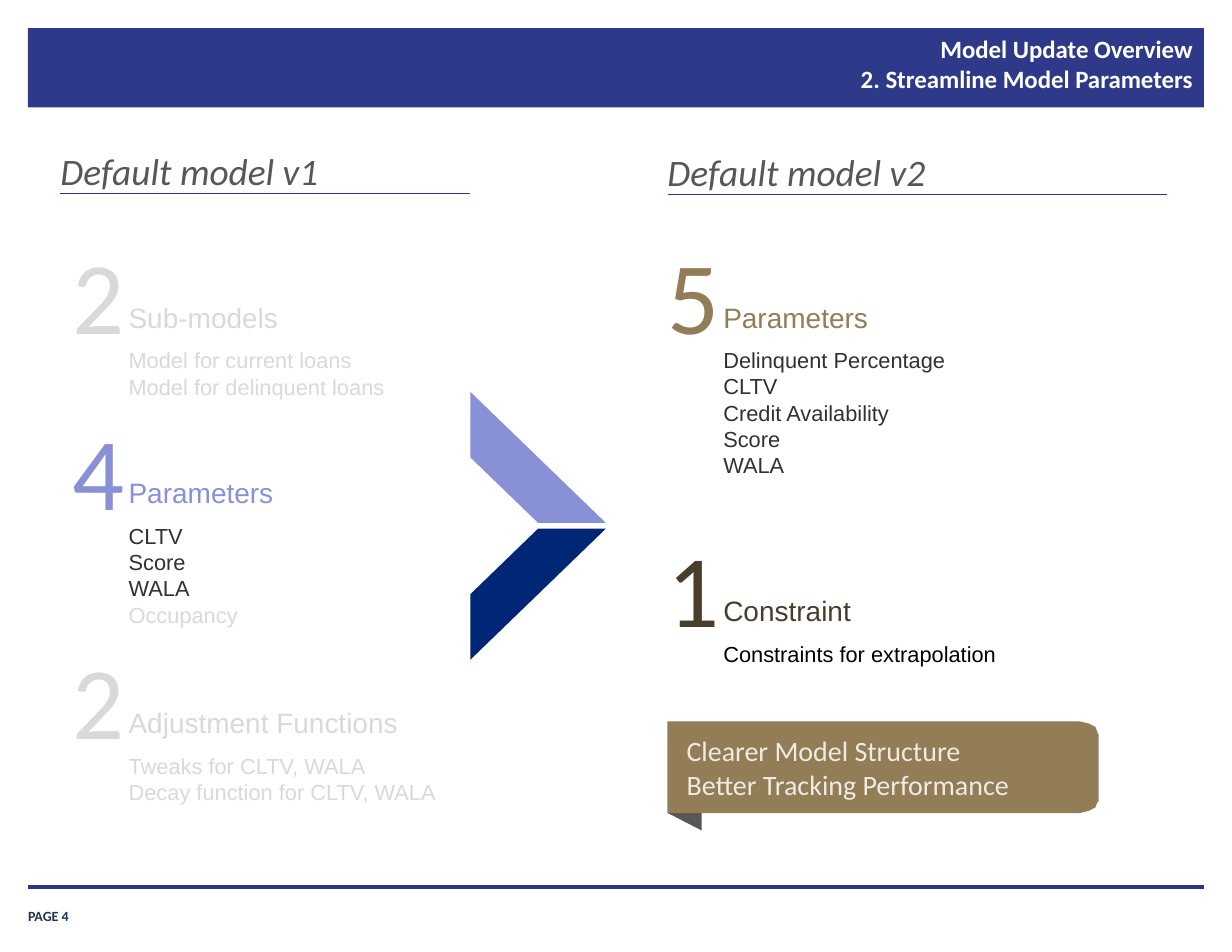
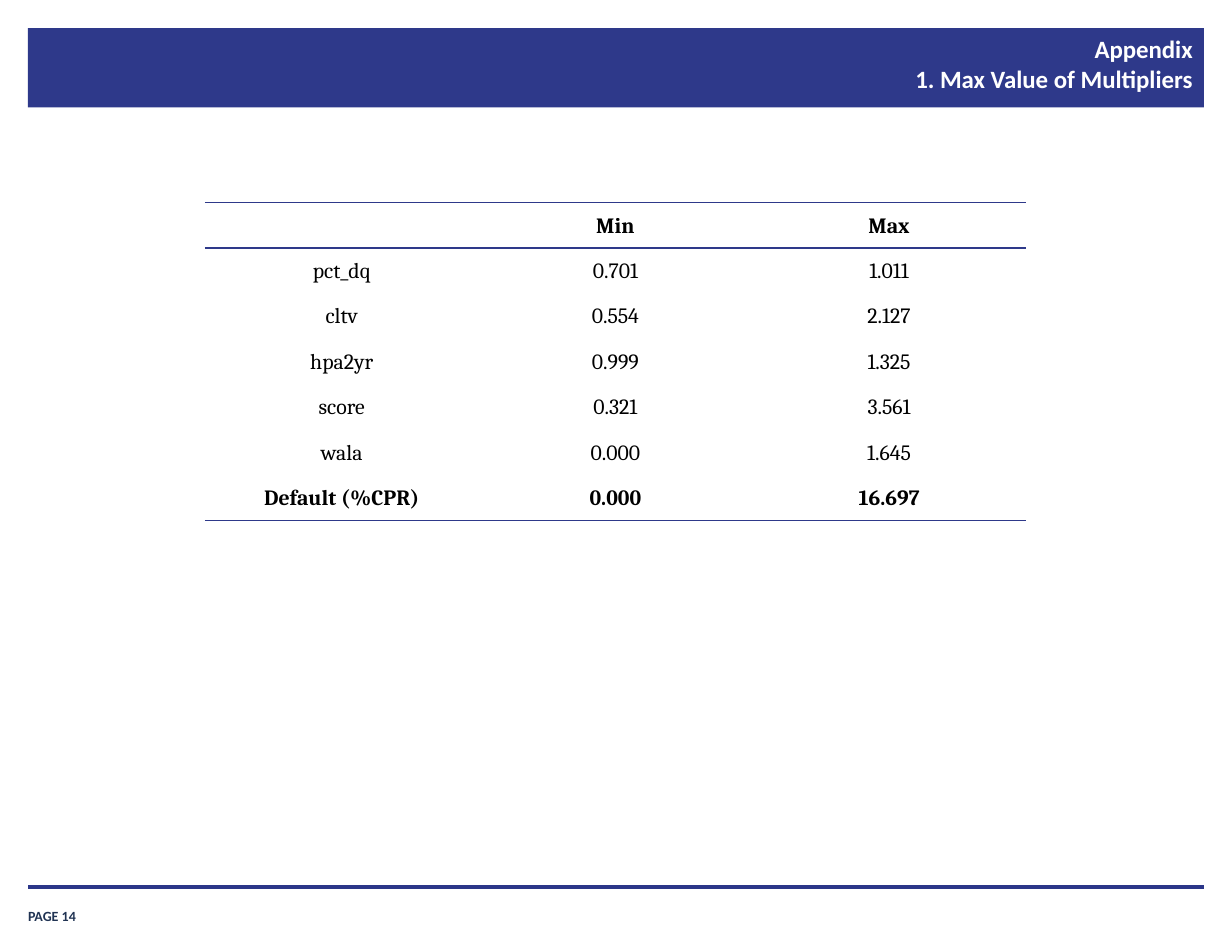
from lxml import etree
from pptx import Presentation
from pptx.dml.color import RGBColor
from pptx.enum.shapes import MSO_CONNECTOR, MSO_SHAPE
from pptx.enum.text import MSO_ANCHOR, PP_ALIGN
from pptx.oxml.ns import qn
from pptx.util import Inches, Pt

LEFT, CENTER, RIGHT = PP_ALIGN.LEFT, PP_ALIGN.CENTER, PP_ALIGN.RIGHT
TOP, MIDDLE, BOTTOM = MSO_ANCHOR.TOP, MSO_ANCHOR.MIDDLE, MSO_ANCHOR.BOTTOM
RECT, TRIANGLE, STRIPE = MSO_SHAPE.RECTANGLE, MSO_SHAPE.ISOSCELES_TRIANGLE, MSO_SHAPE.DIAGONAL_STRIPE
STRAIGHT = MSO_CONNECTOR.STRAIGHT
NO_STYLE = "{2D5ABB26-0587-4C30-8999-92F81FD0307C}"

COLORS = {
    "band": "2E398A", "rule": "2B3689", "footer": "203353", "white": "FFFFFF",
    "gray": "575757", "faded": "D9D9D9", "lilac": "8891D5", "navy": "002776",
    "gold": "937D57", "brown": "493E2B", "cream": "EFEBE4", "ink": "313131",
    "black": "000000",
}

COLUMNS = [
    ("Default model v1", 0.54, 1.32, 4.2),
    ("Default model v2", 5.96, 1.33, 10.42),
]
BLOCKS = [
    (0.65, 2.07, "2", "Sub-models", "faded", "faded",
     ["Model for current loans", "Model for delinquent loans"]),
    (0.65, 3.64, "4", "Parameters", "lilac", "ink",
     ["CLTV", "Score", "WALA", "Occupancy"]),
    (0.65, 5.69, "2", "Adjustment Functions", "faded", "faded",
     ["Tweaks for CLTV, WALA", "Decay function for CLTV, WALA"]),
    (5.96, 2.07, "5", "Parameters", "gold", "ink",
     ["Delinquent Percentage", "CLTV", "Credit Availability", "Score", "WALA"]),
    (5.96, 4.69, "1", "Constraint", "brown", "black", ["Constraints for extrapolation"]),
]
DROPPED = "Occupancy"
BENEFITS = ["Clearer Model Structure", "Better Tracking Performance"]
MULTIPLIERS = [
    ("", "Min", "Max"),
    ("pct_dq", "0.701", "1.011"),
    ("cltv", "0.554", "2.127"),
    ("hpa2yr", "0.999", "1.325"),
    ("score", "0.321", "3.561"),
    ("wala", "0.000", "1.645"),
    ("Default (%CPR)", "0.000", "16.697"),
]


def rgb(name):
    return RGBColor.from_string(COLORS[name])


def write(tf, lines, size, color, font="Calibri", bold=False, italic=False,
          align=LEFT, anchor=TOP, inset=(0, 0)):
    tf.word_wrap = True
    tf.vertical_anchor = anchor
    tf.margin_left = tf.margin_right = Inches(inset[0])
    tf.margin_top = tf.margin_bottom = Inches(inset[1])
    for i, line in enumerate(lines):
        p = tf.paragraphs[0] if i == 0 else tf.add_paragraph()
        p.text = line
        p.alignment = align
        for r in p.runs:
            r.font.name, r.font.size = font, Pt(size)
            r.font.bold, r.font.italic = bold, italic
            r.font.color.rgb = rgb(color)


def add_text(s, box, lines, size, color, **style):
    tf = s.shapes.add_textbox(*map(Inches, box)).text_frame
    write(tf, lines, size, color, **style)
    return tf


def paint(sp, color):
    sp.shadow.inherit = False
    sp.fill.solid()
    sp.fill.fore_color.rgb = rgb(color)
    sp.line.fill.background()
    return sp


def add_shape(s, kind, box, color):
    return paint(s.shapes.add_shape(kind, *map(Inches, box)), color)


def add_rule(s, x1, x2, y, width):
    line = s.shapes.add_connector(STRAIGHT, *map(Inches, (x1, y, x2, y)))
    line.line.color.rgb = rgb("rule")
    line.line.width = Pt(width)
    etree.SubElement(line._element.spPr, qn("a:effectLst"))


def add_slide(prs, title, page):
    s = prs.slides.add_slide(prs.slide_layouts[6])
    add_shape(s, RECT, (0.25, 0.25, 10.5, 0.71), "band")
    add_text(s, (0.25, 8.02, 0.91, 0.23), [f"PAGE {page}"], 9, "footer", bold=True, anchor=BOTTOM)
    add_rule(s, 0.25, 10.75, 7.92, 2)
    add_text(s, (3.32, 0.24, 7.44, 0.74), [title], 16, "white", bold=True,
             align=RIGHT, inset=(0.11, 0.06))
    return s


def add_block(s, x, y, number, label, color, item_color, items):
    add_text(s, (x, y, 0.4, 1.11), [number], 66, color, align=CENTER)
    add_text(s, (x + 0.4, y + 0.56, 2.96, 0.4), [label], 18, color,
             font="Arial", inset=(0.1, 0.05))
    tf = add_text(s, (x + 0.4, y + 0.98, 2.96, 0.1 + 0.24 * len(items)), items, 14,
                  item_color, font="Arial", inset=(0.1, 0.05))
    for p in tf.paragraphs:
        if p.text == DROPPED:
            p.runs[0].font.color.rgb = rgb("faded")


def add_arrow(s):
    add_shape(s, STRIPE, (4.2, 4.72, 1.21, 1.17), "navy")
    upper = add_shape(s, STRIPE, (4.2, 3.5, 1.21, 1.17), "lilac")
    upper._element.spPr.xfrm.set("flipV", "1")


def add_banner(s):
    fold = add_shape(s, TRIANGLE, (5.96, 7.11, 0.31, 0.3), "gray")
    fold.rotation = 270
    left, top, right, bottom = 5.96, 6.44, 9.8, 7.26
    fb = s.shapes.build_freeform(Inches(left), Inches(top), scale=1.0)
    outline = [(9.64, top), (9.72, 6.46), (9.78, 6.49), (right, 6.54),
               (right, 7.16), (9.78, 7.21), (9.72, 7.24), (9.64, bottom), (left, bottom)]
    fb.add_line_segments([(Inches(x), Inches(y)) for x, y in outline], close=True)
    paint(fb.convert_to_shape(), "gold")
    panel = add_shape(s, RECT, (6.13, 6.55, 3.68, 0.61), "gold")
    write(panel.text_frame, BENEFITS, 18, "cream")


def add_border(cell, side, position):
    ln = etree.Element(qn(f"a:ln{side}"), w=str(Pt(1)))
    fill = etree.SubElement(ln, qn("a:solidFill"))
    etree.SubElement(fill, qn("a:srgbClr"), val=COLORS["band"])
    cell._tc.get_or_add_tcPr().insert(position, ln)


def add_multiplier_table(s):
    rows, cols = len(MULTIPLIERS), len(MULTIPLIERS[0])
    table = s.shapes.add_table(rows, cols, *map(Inches, (1.83, 1.81, 7.33, 2.84))).table
    table.first_row = table.horz_banding = False
    table._tbl.tblPr.find(qn("a:tableStyleId")).text = NO_STYLE
    for i, values in enumerate(MULTIPLIERS):
        edge = i in (0, rows - 1)
        for j, value in enumerate(values):
            cell = table.cell(i, j)
            write(cell.text_frame, [value], 14, "black", font="Cambria", bold=edge, align=CENTER)
            cell.vertical_anchor = MIDDLE
            cell.margin_left = cell.margin_right = cell.margin_top = Inches(0.01)
            cell.margin_bottom = 0
            cell.fill.background()
            if edge:
                add_border(cell, "B", 0)
            if i == 0:
                add_border(cell, "T", 0)


def main():
    prs = Presentation()
    prs.slide_width, prs.slide_height = Inches(11), Inches(8.5)

    s = add_slide(prs, "Model Update Overview\n2. Streamline Model Parameters", 4)
    for heading, x, y, end in COLUMNS:
        add_text(s, (x, y, 5.0, 0.4), [heading], 24, "gray", italic=True)
        add_rule(s, x, end, y + 0.41, 0.75)
    for block in BLOCKS:
        add_block(s, *block)
    add_arrow(s)
    add_banner(s)

    s = add_slide(prs, "Appendix\n1. Max Value of Multipliers", 14)
    add_multiplier_table(s)
    prs.save("out.pptx")


if __name__ == "__main__":
    main()
